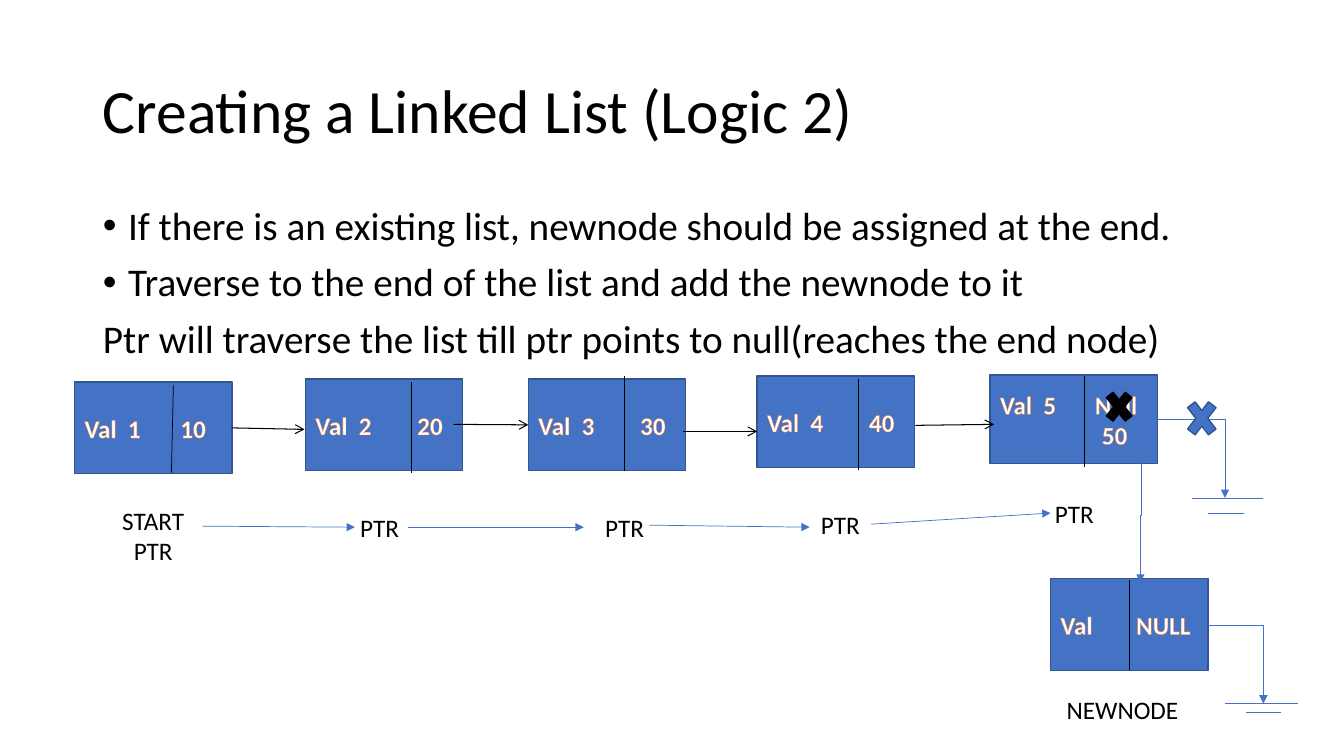
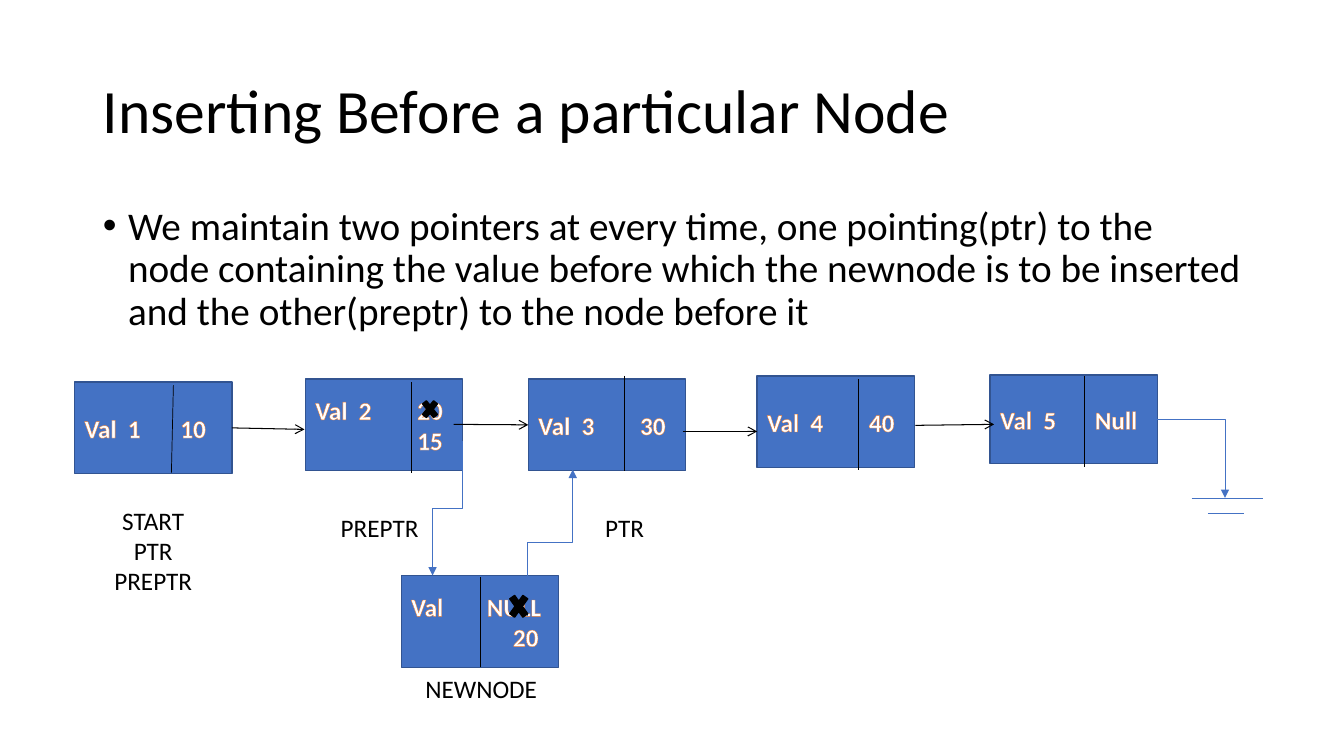
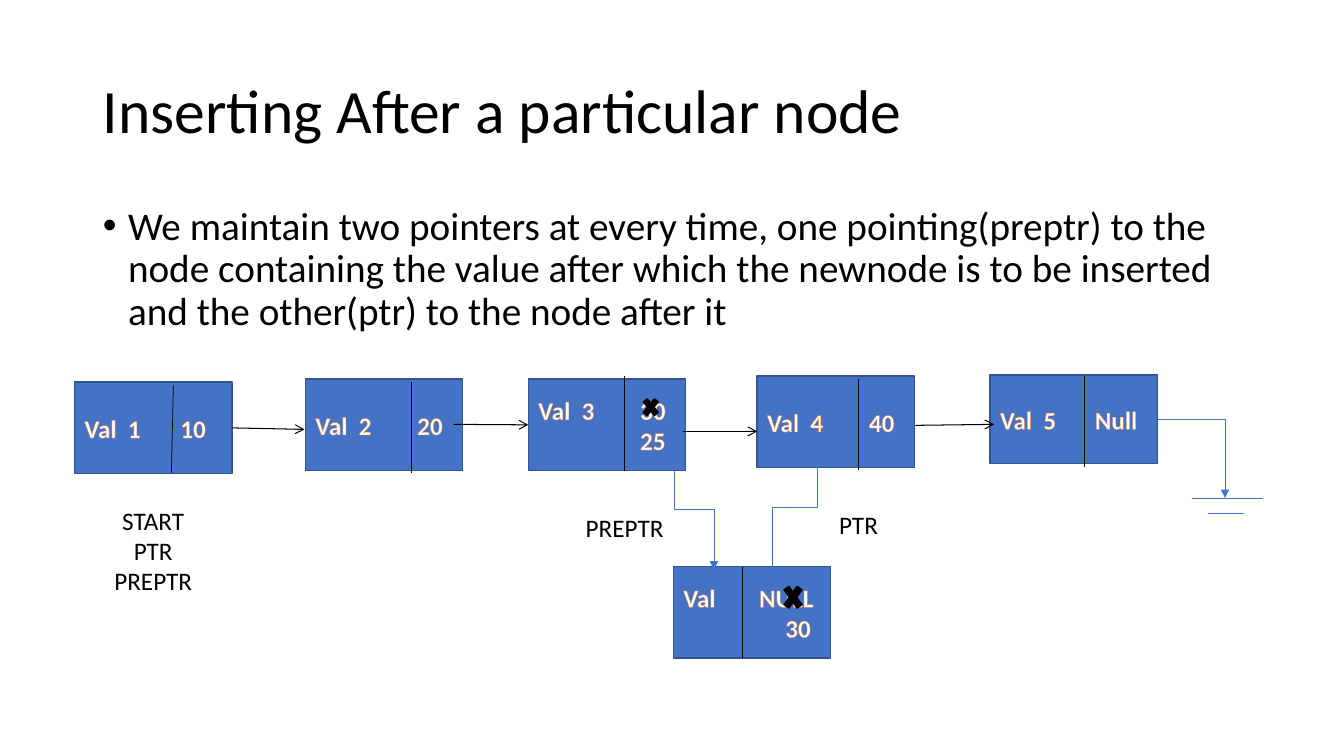
"""Build three slides on appending to and inserting into a linked list."""
from lxml import etree
from pptx import Presentation
from pptx.dml.color import RGBColor
from pptx.enum.shapes import MSO_CONNECTOR, MSO_SHAPE
from pptx.enum.text import MSO_ANCHOR, MSO_AUTO_SIZE, PP_ALIGN
from pptx.oxml.ns import qn
from pptx.util import Pt

PX = 9144
FONT = "Calibri"
BLACK = RGBColor(0x00, 0x00, 0x00)
WHITE = RGBColor(0xFF, 0xFF, 0xFF)
BLUE = RGBColor(0x44, 0x72, 0xC4)
NAVY = RGBColor(0x32, 0x54, 0x91)
ORANGE = RGBColor(0xED, 0x7D, 0x31)
LEFT, CENTER = PP_ALIGN.LEFT, PP_ALIGN.CENTER
TOP, MIDDLE = MSO_ANCHOR.TOP, MSO_ANCHOR.MIDDLE
NO_FIT, GROW = MSO_AUTO_SIZE.NONE, MSO_AUTO_SIZE.SHAPE_TO_FIT_TEXT
STRAIGHT, ELBOW = MSO_CONNECTOR.STRAIGHT, MSO_CONNECTOR.ELBOW
RECTANGLE, CROSS = MSO_SHAPE.RECTANGLE, MSO_SHAPE.MATH_MULTIPLY
RIGHT_SIDE, LEFT_SIDE = 3, 1
NUMBER_STOP, SECOND_LINE_STOP = 43, 101
NODE_WIDTH, NODE_HEIGHT = 156, 91

CHAIN = [
    ("Val\t1\t10", 74, 379, NODE_WIDTH, NODE_HEIGHT, 95),
    ("Val\t2\t20", 303, 376, NODE_WIDTH, NODE_HEIGHT, 101),
    ("Val\t3\t30", 524, 376, NODE_WIDTH, NODE_HEIGHT, 101),
    ("Val\t4\t40", 751, 373, NODE_WIDTH, NODE_HEIGHT, 101),
    ("Val\t5\tNull", 982, 372, 166, 88, 94),
]
DIVIDERS = [
    ((170, 469), (172, 382)),
    ((408, 469), (408, 379)),
    ((619, 373), (619, 467)),
    ((851, 466), (851, 376)),
    ((1075, 463), (1075, 373)),
]
CHAIN_ARROWS = [
    ((230, 425), (302, 426)),
    ((450, 421), (524, 421)),
    ((677, 428), (751, 428)),
    ((908, 422), (986, 421)),
]
CHAIN_END = ((1148, 416), (1215, 494), [(1182, 1253, 494), (1198, 1234, 509)])
NEW_NODE_END = ((1198, 620), (1253, 698), [(1215, 1287, 698), (1236, 1271, 707)])

PAGES = [
    {
        "title": "Creating a Linked List (Logic 2)",
        "bullets": [
            "If there is an existing list, newnode should be assigned at the end.",
            "Traverse to the end of the list and add the newnode to it",
        ],
        "plain": ["Ptr will traverse the list till ptr points to null(reaches the end node)"],
        "second_lines": {4: "50"},
        "new_node": (1042, 574, 1120),
        "start": ["START", "PTR"],
        "labels": [("PTR", 311, 503), ("PTR", 768, 500), ("PTR", 554, 503), ("PTR", 1000, 489)],
        "new_label": (1048, 684),
        "grounds": [CHAIN_END, NEW_NODE_END],
        "links": [((1132, 444), (1131, 578))],
        "steps": [
            ((201, 522), (352, 523)),
            ((405, 523), (579, 523)),
            ((644, 521), (803, 523)),
            ((864, 520), (1042, 509)),
        ],
        "crosses": [(1172, 389, 40, 52, BLUE, NAVY), (1092, 381, 36, 45, BLACK, BLACK)],
    },
    {
        "title": "Inserting Before a particular Node",
        "bullets": [
            "We maintain two pointers at every time, one pointing(ptr) to the node "
            "containing the value before which the newnode is to be inserted and the "
            "other(preptr) to the node before it",
        ],
        "plain": [],
        "second_lines": {1: "15", 5: "20"},
        "new_node": (398, 571, 476),
        "start": ["START", "PTR", "PREPTR"],
        "labels": [("PREPTR", 311, 503), ("PTR", 554, 503)],
        "new_label": (412, 663),
        "grounds": [CHAIN_END],
        "links": [((523, 611), (568, 466)), ((459, 438), (429, 571))],
        "steps": [],
        "crosses": [(416, 393, 21, 26, BLACK, BLACK), (502, 584, 25, 35, BLACK, BLACK)],
    },
    {
        "title": "Inserting After a particular node",
        "bullets": [
            "We maintain two pointers at every time, one pointing(preptr) to the node "
            "containing the value after which the newnode is to be inserted and the "
            "other(ptr) to the node after it",
        ],
        "plain": [],
        "second_lines": {2: "25", 5: "30"},
        "new_node": (668, 562, 736),
        "start": ["START", "PTR", "PREPTR"],
        "labels": [("PTR", 786, 500), ("PREPTR", 554, 503)],
        "new_label": None,
        "grounds": [CHAIN_END],
        "links": [((766, 576), (811, 430)), ((669, 446), (708, 565))],
        "steps": [],
        "crosses": [(635, 391, 21, 26, BLACK, BLACK), (774, 575, 25, 35, BLACK, BLACK)],
    },
]


def write(frame, lines, size=18, color=BLACK, bold=False, align=LEFT, anchor=TOP,
          fit=NO_FIT, spacing=None, before=None):
    frame.word_wrap = True
    frame.auto_size = fit
    frame.vertical_anchor = anchor
    for index, line in enumerate(lines):
        para = frame.add_paragraph() if index else frame.paragraphs[0]
        para.alignment = align
        para.line_spacing = spacing
        para.space_before = before
        span = para.add_run()
        span.text = line
        span.font.name = FONT
        span.font.size = Pt(size)
        span.font.bold = bold
        span.font.color.rgb = color
    return frame.paragraphs


def draw_line(page, start, end, color=BLUE, weight=0.5, tail=None, bend=None):
    (x1, y1), (x2, y2) = start, end
    kind = ELBOW if bend else STRAIGHT
    connector = page.shapes.add_connector(kind, x1 * PX, y1 * PX, x2 * PX, y2 * PX)
    connector.line.color.rgb = color
    connector.line.width = Pt(weight)
    properties = connector._element.spPr
    if tail:
        etree.SubElement(properties.find(qn("a:ln")), qn("a:tailEnd"), type=tail)
    etree.SubElement(properties, qn("a:effectLst"))
    if bend == "corner":
        properties.find(qn("a:prstGeom")).set("prst", "bentConnector2")
    if bend == "vertical":
        across, down = x2 - x1, y2 - y1
        connector.width, connector.height = abs(down) * PX, abs(across) * PX
        connector.left = (x1 + x2) * PX // 2 - connector.width // 2
        connector.top = (y1 + y2) * PX // 2 - connector.height // 2
        frame = properties.find(qn("a:xfrm"))
        frame.set("rot", str((270 if across > 0 and down > 0 else 90) * 60000))
        frame.set("flipH", "1" if across > 0 else "0")
        frame.set("flipV", "1" if down < 0 else "0")
    return connector


deck = Presentation()
deck.slide_width, deck.slide_height = 1333 * PX, 750 * PX

for content in PAGES:
    page = deck.slides.add_slide(deck.slide_layouts[1])
    title, body = page.placeholders
    for holder, top, height in ((title, 40, 145), (body, 200, 476)):
        holder.left, holder.top = 92 * PX, top * PX
        holder.width, holder.height = 1150 * PX, height * PX
    write(title.text_frame, [content["title"]], size=44, anchor=MIDDLE, spacing=0.9)
    bullets = content["bullets"]
    paras = write(body.text_frame, bullets + content["plain"], size=28,
                  spacing=0.9, before=Pt(10))
    for index, para in enumerate(paras):
        bulleted = index < len(bullets)
        indent = 25 * PX if bulleted else 0
        settings = para._p.get_or_add_pPr()
        settings.set("marL", str(indent))
        settings.set("indent", str(-indent))
        if bulleted:
            etree.SubElement(settings, qn("a:buFont"), typeface="Arial")
            etree.SubElement(settings, qn("a:buChar"), char="•")
        else:
            etree.SubElement(settings, qn("a:buNone"))

    new_left, new_top, new_divider = content["new_node"]
    new_node = ("Val\tNULL", new_left, new_top, NODE_WIDTH, NODE_HEIGHT, 75)
    boxes = []
    for index, (text, left, top, width, height, value_stop) in enumerate(CHAIN + [new_node]):
        box = page.shapes.add_shape(RECTANGLE, left * PX, top * PX, width * PX, height * PX)
        box.shadow.inherit = False
        box.fill.solid()
        box.fill.fore_color.rgb = BLUE
        box.line.color.rgb = NAVY
        box.line.width = Pt(1)
        lines = [text]
        if index in content["second_lines"]:
            lines.append("\t" + content["second_lines"][index])
        first_stops = [NUMBER_STOP, value_stop] if text.count("\t") == 2 else [value_stop]
        paras = write(box.text_frame, lines, color=WHITE, bold=True, anchor=MIDDLE)
        for para, stops in zip(paras, (first_stops, [SECOND_LINE_STOP])):
            tabs = etree.SubElement(para._p.get_or_add_pPr(), qn("a:tabLst"))
            for stop in stops:
                etree.SubElement(tabs, qn("a:tab"), pos=str(stop * PX), algn="l")
            outline = etree.Element(qn("a:ln"), w=str(Pt(1.75)))
            fill = etree.SubElement(outline, qn("a:solidFill"))
            etree.SubElement(fill, qn("a:srgbClr"), val=str(ORANGE))
            para.runs[0].font._element.insert(0, outline)
        boxes.append(box)

    new_split = ((new_divider, new_top + NODE_HEIGHT), (new_divider, new_top + 1))
    for start, end in DIVIDERS + [new_split]:
        draw_line(page, start, end, color=BLACK)
    arrows = [draw_line(page, start, end, color=BLACK, weight=0.75, tail="arrow")
              for start, end in CHAIN_ARROWS]
    arrows[0].begin_connect(boxes[0], RIGHT_SIDE)
    arrows[1].end_connect(boxes[2], LEFT_SIDE)
    for start, end, bars in content["grounds"]:
        draw_line(page, start, end, tail="triangle", bend="corner")
        for left, right, level in bars:
            draw_line(page, (left, level), (right, level))
    for start, end in content["links"]:
        draw_line(page, start, end, tail="triangle", bend="vertical")
    for start, end in content["steps"]:
        draw_line(page, start, end, tail="triangle")

    labels = [(content["start"], 74, 496, 156, CENTER)]
    labels += [([text], left, top, 131, CENTER) for text, left, top in content["labels"]]
    if content["new_label"]:
        labels.append((["NEWNODE"], *content["new_label"], 148, LEFT))
    for lines, left, top, width, align in labels:
        height = 10 + 30 * len(lines)
        box = page.shapes.add_textbox(left * PX, top * PX, width * PX, height * PX)
        write(box.text_frame, lines, align=align, fit=GROW)

    for left, top, width, height, color, edge in content["crosses"]:
        cross = page.shapes.add_shape(CROSS, left * PX, top * PX, width * PX, height * PX)
        cross.shadow.inherit = False
        cross.fill.solid()
        cross.fill.fore_color.rgb = color
        cross.line.color.rgb = edge
        cross.line.width = Pt(1)

deck.save("out.pptx")
